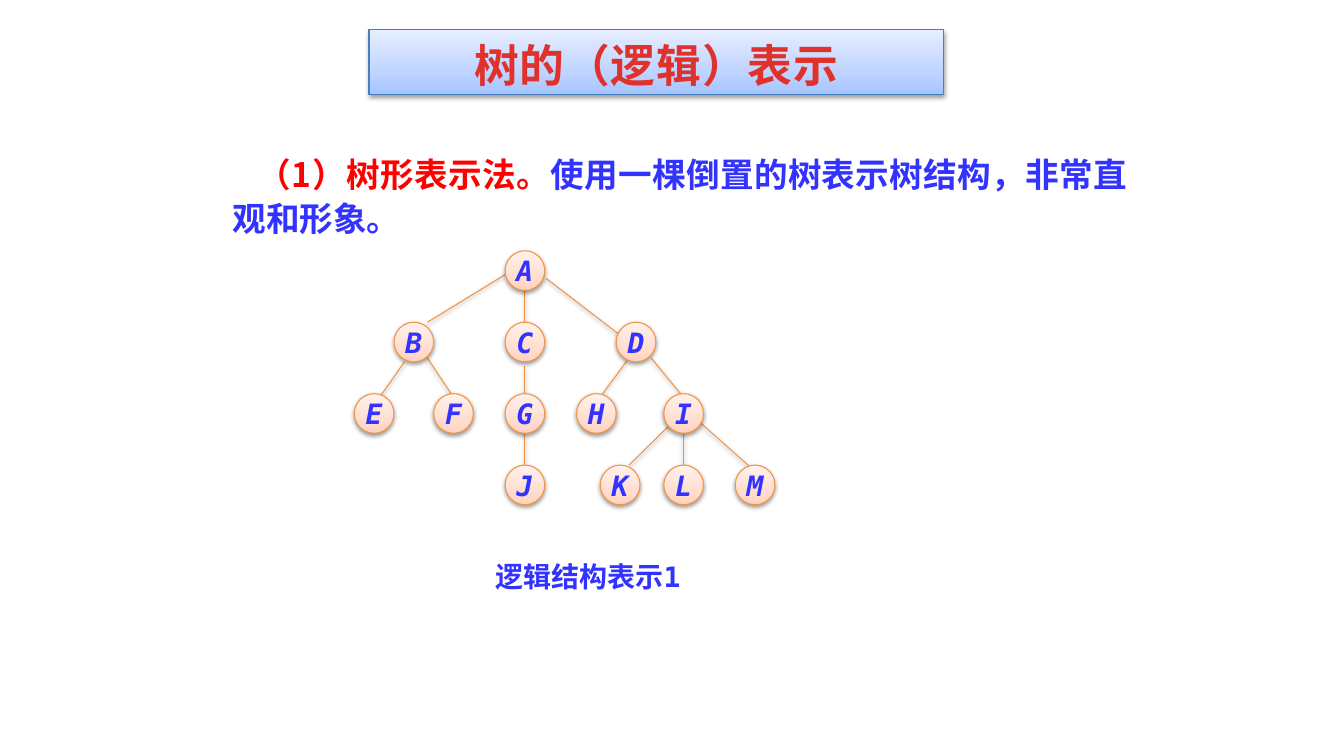
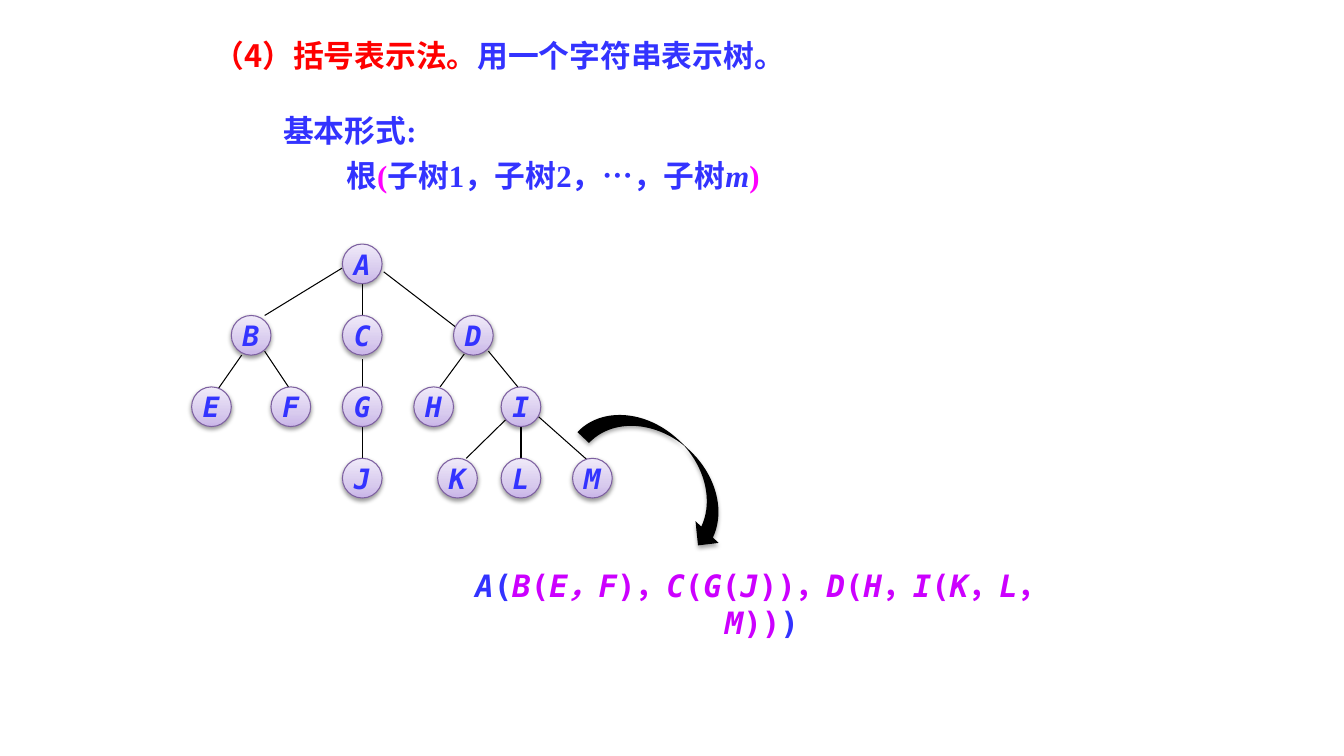
from lxml import etree
from pptx import Presentation
from pptx.dml.color import RGBColor
from pptx.enum.shapes import MSO_CONNECTOR, MSO_SHAPE
from pptx.enum.text import MSO_ANCHOR, PP_ALIGN
from pptx.oxml.ns import qn
from pptx.util import Cm, Pt

STRAIGHT = MSO_CONNECTOR.STRAIGHT
OVAL, RECTANGLE = MSO_SHAPE.OVAL, MSO_SHAPE.RECTANGLE
CURVED_ARROW = MSO_SHAPE.CURVED_DOWN_ARROW
MIDDLE = MSO_ANCHOR.MIDDLE
LEFT, CENTER, JUSTIFY = PP_ALIGN.LEFT, PP_ALIGN.CENTER, PP_ALIGN.JUSTIFY

BLUE = RGBColor(0x33, 0x33, 0xFF)
RED = RGBColor(0xFF, 0x00, 0x00)
TITLE_RED = RGBColor(0xE0, 0x32, 0x2D)
PINK = RGBColor(0xFF, 0x00, 0xFF)
VIOLET = RGBColor(0xCC, 0x00, 0xFF)
BLACK = RGBColor(0x00, 0x00, 0x00)
ORANGE_LINE = RGBColor(0xF6, 0x92, 0x40)
PURPLE_LINE = RGBColor(0x7D, 0x60, 0xA0)
TITLE_LINE = RGBColor(0x4B, 0x7E, 0xBC)

# Gradient stops from bottom to top
STOP_POSITIONS = (0, 35, 100)
ORANGE_STOPS = ("FFD2BD", "FFDED0", "FFF2ED")
PURPLE_STOPS = ("C9B5E8", "D8CBEE", "F0EAF9")
TITLE_STOPS = ("A4C4FF", "BFD4FF", "E6EEFF")

MONO, SERIF, SANS = "DejaVu Sans Mono", "Times New Roman", "Noto Sans CJK SC"

# Tree: centimetres from the root's left edge, and level below the root
NODE_SIZE, LEVEL_STEP = 1, 1.8
NODES = {
    "A": (0, 0),
    "B": (-2.8, 1), "C": (0, 1), "D": (2.8, 1),
    "E": (-3.8, 2), "F": (-1.8, 2), "G": (0, 2), "H": (1.8, 2), "I": (4, 2),
    "J": (0, 3), "K": (2.4, 3), "L": (4, 3), "M": (5.8, 3),
}
# Parent, child, then the line's ends measured inside each node's box
BOTTOM, TOP = (0.5, 1), (0.5, 0)
EDGES = [
    ("A", "B", (0, 0.6), (0.84, 0)),
    ("A", "C", BOTTOM, TOP),
    ("A", "D", (1.04, 0.7), (0.04, 0.28)),
    ("B", "E", (0.26, 1), (0.68, 0.03)),
    ("B", "F", (0.84, 0.9), (0.44, 0)),
    ("C", "G", (0.5, 1.1), TOP),
    ("D", "H", (0.27, 0.97), (0.66, 0)),
    ("D", "I", (0.88, 0.9), (0.42, 0)),
    ("G", "J", BOTTOM, TOP),
    ("I", "K", (0.14, 0.8), (0.72, 0)),
    ("I", "L", BOTTOM, TOP),
    ("I", "M", (0.93, 0.74), (0.37, 0.04)),
]

# A run is (text, font, colour) or (text, font, colour, italic)
TITLE = [("树的（逻辑）表示", SERIF, TITLE_RED)]
TREE_METHOD = [
    ("（1）树形表示法。", SANS, RED),
    ("使用一棵倒置的树表示树结构，非常直观和形象。", SERIF, BLUE),
]
CAPTION = [("逻辑结构表示1", MONO, BLUE)]
BRACKET_METHOD = [
    ("（4）括号表示法。", SANS, RED),
    ("用一个字符串表示树。", SERIF, BLUE),
]
BASIC_FORM = [("基本形式:", SERIF, BLUE)]
FORM_PATTERN = [
    ("根", SERIF, BLUE),
    ("(", SERIF, PINK),
    ("子树1，子树2，", SERIF, BLUE),
    ("…，", SANS, BLUE),
    ("子树", SERIF, BLUE),
    ("m", SERIF, BLUE, True),
    (")", SERIF, PINK),
]
# Node names in italics alternate with upright brackets and commas
SUBTREES = ["B", "(", "E，F", ")，", "C", "(", "G", "(", "J", "))，", "D", "(",
            "H", "，", "I", "(", "K", "，", "L", "，", "M", "))"]
BRACKET_STRING = (
    [("A", MONO, BLUE, True), ("(", MONO, BLUE)]
    + [(text, MONO, VIOLET, index % 2 == 0) for index, text in enumerate(SUBTREES)]
    + [(")", MONO, BLUE)]
)


def add_child(parent, tag, **attributes):
    child = etree.SubElement(parent, qn(tag))
    for name, value in attributes.items():
        child.set(name, str(value))
    return child


def add_shadow(shape, opacity=38, distance=1.6):
    """Give a shape or connector a soft shadow straight below it."""
    effects = add_child(shape._element.spPr, "a:effectLst")
    shadow = add_child(effects, "a:outerShdw", blurRad=Pt(3.1), dist=Pt(distance),
                       dir=5400000, rotWithShape=0)
    color = add_child(shadow, "a:srgbClr", val=BLACK)
    add_child(color, "a:alpha", val=opacity * 1000)


def fill_gradient(shape, colors):
    shape.fill.gradient()
    shape.fill.gradient_angle = 90
    stops = shape._element.spPr.find(qn("a:gradFill")).find(qn("a:gsLst"))
    for stop in list(stops):
        stops.remove(stop)
    for position, color in zip(STOP_POSITIONS, colors):
        stop = add_child(stops, "a:gs", pos=position * 1000)
        add_child(stop, "a:srgbClr", val=color)


def style_line(line, color):
    line.color.rgb = color
    line.width = Pt(0.75)


def write_runs(paragraph, runs, size, align=CENTER, line=None, before=0, indent=0,
               tracking=None):
    paragraph.alignment = align
    paragraph.space_before = Pt(before)
    if line:
        paragraph.line_spacing = Pt(line)
    if indent:
        paragraph._p.get_or_add_pPr().set("indent", str(Cm(indent)))
    for text, font, color, *italic in runs:
        run = paragraph.add_run()
        run.text = text
        run.font.name = font
        run.font.size = Pt(size)
        run.font.bold = True
        run.font.italic = any(italic)
        run.font.color.rgb = color
        properties = run._r.get_or_add_rPr()
        add_child(properties, "a:ea", typeface=SANS)
        if tracking:
            properties.set("spc", str(tracking))


def add_text(slide, box, paragraphs):
    """Add a text box; each paragraph is its runs and its settings."""
    frame = slide.shapes.add_textbox(*map(Cm, box)).text_frame
    frame.word_wrap = True
    for index, (runs, settings) in enumerate(paragraphs):
        paragraph = frame.add_paragraph() if index else frame.paragraphs[0]
        write_runs(paragraph, runs, **settings)


def add_box(shapes, kind, box, stops, line_color):
    shape = shapes.add_shape(kind, *map(Cm, box))
    fill_gradient(shape, stops)
    style_line(shape.line, line_color)
    add_shadow(shape)
    shape.text_frame.vertical_anchor = MIDDLE
    return shape


def add_tree(slide, left, top, stops, node_line, edge_line, edge_shadow):
    """Draw the whole tree as one group with the root's corner at left, top."""
    shapes = slide.shapes.add_group_shape().shapes
    corners = {name: (left + x, top + level * LEVEL_STEP)
               for name, (x, level) in NODES.items()}
    for parent, child, start, end in EDGES:
        points = [corner + offset
                  for name, port in ((parent, start), (child, end))
                  for corner, offset in zip(corners[name], port)]
        edge = shapes.add_connector(STRAIGHT, *map(Cm, points))
        style_line(edge.line, edge_line)
        if edge_shadow:
            add_shadow(edge)
        else:
            add_child(edge._element.spPr, "a:effectLst")
    for name, corner in corners.items():
        node = add_box(shapes, OVAL, (*corner, NODE_SIZE, NODE_SIZE), stops, node_line)
        node.text_frame.word_wrap = False
        write_runs(node.text_frame.paragraphs[0], [(name, MONO, BLUE, True)], 20)


def build_tree_slide(slide):
    add_text(slide, (5.61, 3.66, 23.06, 2.41),
             [(TREE_METHOD, dict(size=24, align=JUSTIFY, line=31.4, indent=0.64))])
    add_tree(slide, 12.73, 6.32, ORANGE_STOPS, ORANGE_LINE, ORANGE_LINE, True)
    add_text(slide, (10.92, 13.97, 7.8, 1.12), [(CAPTION, dict(size=20, line=24))])
    title = add_box(slide.shapes, RECTANGLE, (9.3, 0.75, 14.48, 1.64),
                    TITLE_STOPS, TITLE_LINE)
    title.text_frame.margin_top = title.text_frame.margin_bottom = 0
    write_runs(title.text_frame.paragraphs[0], TITLE, 32, line=42, tracking=50)


def build_bracket_slide(slide):
    heading = dict(size=22, align=LEFT, line=32)
    add_text(slide, (5.13, 0.6, 22.71, 4.32), [
        (BRACKET_METHOD, heading),
        (BASIC_FORM, dict(heading, before=21.6, indent=1.76)),
        (FORM_PATTERN, dict(heading, indent=3.35)),
    ])
    add_tree(slide, 8.63, 6.15, PURPLE_STOPS, PURPLE_LINE, BLACK, False)
    add_text(slide, (10.97, 14.15, 16.46, 1.2),
             [(BRACKET_STRING, dict(size=22, line=26.4))])
    arrow = slide.shapes.add_shape(CURVED_ARROW, *map(Cm, (14.48, 11.07, 4.57, 1.6)))
    arrow.rotation = 43.2
    arrow.fill.solid()
    arrow.fill.fore_color.rgb = BLACK
    arrow.line.fill.background()
    add_shadow(arrow, opacity=35, distance=1.8)


def main():
    presentation = Presentation()
    presentation.slide_width, presentation.slide_height = Cm(33.87), Cm(19.05)
    blank = presentation.slide_layouts[6]
    for build in (build_tree_slide, build_bracket_slide):
        build(presentation.slides.add_slide(blank))
    presentation.save("out.pptx")


if __name__ == "__main__":
    main()
